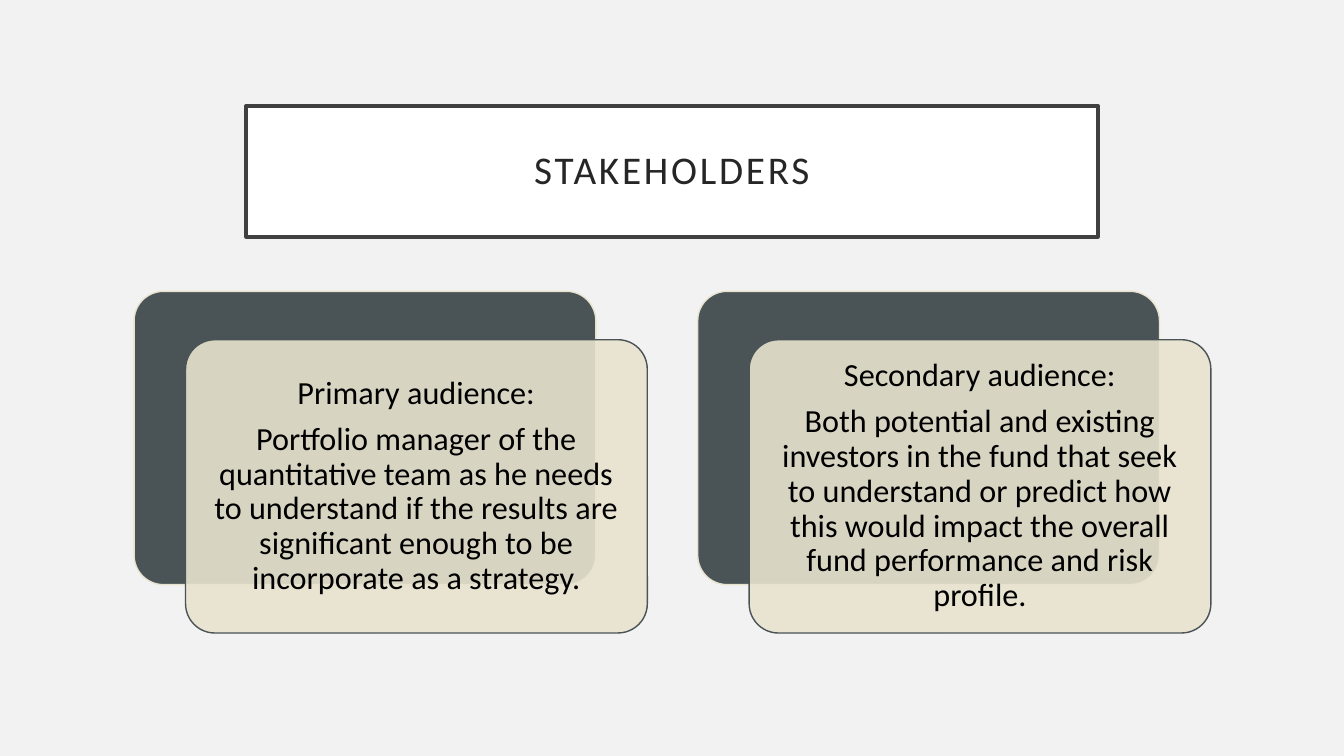
from dataclasses import dataclass

from lxml import etree
from pptx import Presentation, util as u
from pptx.dml.color import RGBColor
from pptx.enum import shapes, text
from pptx.oxml import ns

EMU_PER_PX = 9144  # 100 px to the inch
FONT = "Calibri"
COLORS = {
    "background": "F2F2F2",
    "title_fill": "FFFFFF",
    "title_line": "404040",
    "title_text": "262626",
    "slate": "4A5356",
    "sand": "E8E3CE",
    "body_text": "000000",
}


@dataclass(frozen=True)
class Box:
    left: int
    top: int
    width: int
    height: int

    def emu(self) -> list[int]:
        return [px(n) for n in (self.left, self.top, self.width, self.height)]


@dataclass(frozen=True)
class Audience:
    heading: str
    description: str


TITLE_BOX = Box(244, 105, 845, 130)
FIRST_CARD = Box(133, 289, 458, 291)
CARD_PITCH = 559
FRONT_DX, FRONT_DY = 51, 48
TEXT_MARGIN = 8

AUDIENCES = [
    Audience(
        "Primary audience:",
        "Portfolio manager of the quantitative team as he needs to understand "
        "if the results are significant enough to be incorporate as a strategy.",
    ),
    Audience(
        "Secondary audience:",
        "Both potential and existing investors in the fund that seek to "
        "understand or predict how this would impact the overall fund "
        "performance and risk profile.",
    ),
]


def px(length: int) -> int:
    return u.Emu(length * EMU_PER_PX)


def rgb(name: str) -> RGBColor:
    return RGBColor.from_string(COLORS[name])


def paint(shape, fill: str, line: str, line_pt: float) -> None:
    shape.fill.solid()
    shape.fill.fore_color.rgb = rgb(fill)
    shape.line.color.rgb = rgb(line)
    shape.line.width = u.Pt(line_pt)


def set_frame(frame, inset: int) -> None:
    frame.word_wrap = True
    frame.auto_size = text.MSO_AUTO_SIZE.NONE
    frame.vertical_anchor = text.MSO_ANCHOR.MIDDLE
    frame.margin_left = frame.margin_right = px(inset)
    frame.margin_top = frame.margin_bottom = px(inset)


def write(paragraph, words: str, size: int, color: str):
    paragraph.alignment = text.PP_ALIGN.CENTER
    paragraph.line_spacing = 0.9
    run = paragraph.add_run()
    run.text = words
    run.font.name = FONT
    run.font.size = u.Pt(size)
    run.font.color.rgb = rgb(color)
    return run


def add_card(slide, box: Box, fill: str, line: str, opacity: int = 100) -> None:
    card = slide.shapes.add_shape(shapes.MSO_SHAPE.ROUNDED_RECTANGLE, *box.emu())
    card.adjustments[0] = 0.1
    card.shadow.inherit = False
    paint(card, fill, line, 1)
    if opacity < 100:
        tint = card._element.spPr.find(ns.qn("a:solidFill"))[0]
        etree.SubElement(tint, ns.qn("a:alpha"), val=str(opacity * 1000))


def add_audience(slide, audience: Audience, back: Box) -> None:
    front = Box(back.left + FRONT_DX, back.top + FRONT_DY, back.width, back.height)
    add_card(slide, back, "slate", "sand")
    add_card(slide, front, "sand", "slate", opacity=90)

    inner = Box(front.left + TEXT_MARGIN, front.top + TEXT_MARGIN,
                front.width - 2 * TEXT_MARGIN, front.height - 2 * TEXT_MARGIN)
    frame = slide.shapes.add_textbox(*inner.emu()).text_frame
    set_frame(frame, 10)
    heading, description = frame.paragraphs[0], frame.add_paragraph()
    write(heading, audience.heading, 23, "body_text")
    write(description, audience.description, 23, "body_text")
    heading.space_after = description.space_after = u.Pt(8)


def add_title(slide, words: str) -> None:
    title = slide.shapes.title
    title.left, title.top, title.width, title.height = TITLE_BOX.emu()
    paint(title, "title_fill", "title_line", 2.5)
    set_frame(title.text_frame, 20)
    run = write(title.text_frame.paragraphs[0], words, 28, "title_text")
    run.font._element.set("spc", "200")  # letter spacing of 2 pt


def main() -> None:
    deck = Presentation()
    deck.slide_width, deck.slide_height = px(1333), px(750)
    slide = deck.slides.add_slide(deck.slide_layouts.get_by_name("Title Only"))
    slide.background.fill.solid()
    slide.background.fill.fore_color.rgb = rgb("background")

    # Title
    add_title(slide, "STAKEHOLDERS")

    # Audience cards, left to right
    for column, audience in enumerate(AUDIENCES):
        left = FIRST_CARD.left + column * CARD_PITCH
        back = Box(left, FIRST_CARD.top, FIRST_CARD.width, FIRST_CARD.height)
        add_audience(slide, audience, back)

    deck.save("out.pptx")


if __name__ == "__main__":
    main()
